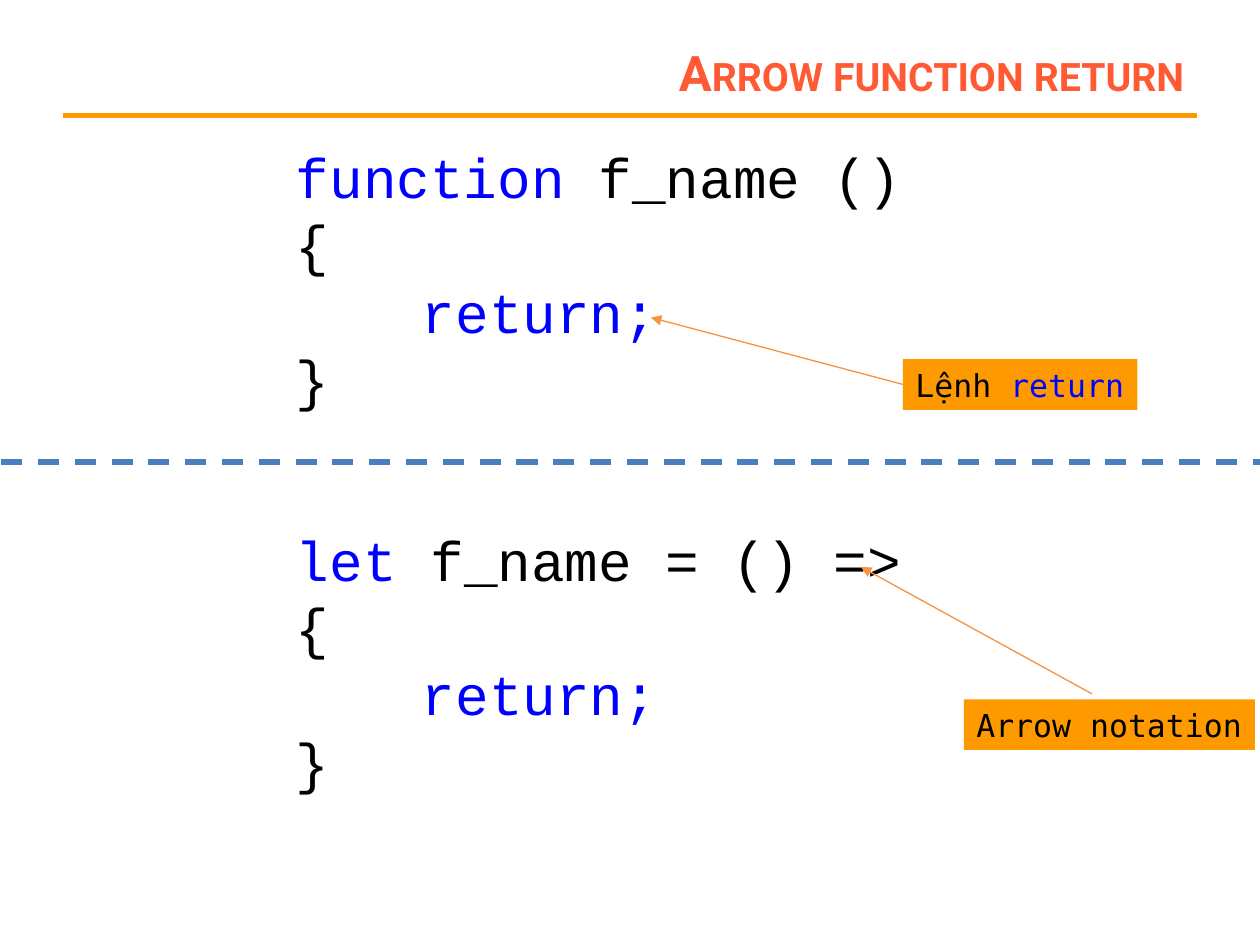
from lxml import etree
from pptx import Presentation
from pptx.dml.color import RGBColor
from pptx.enum.dml import MSO_LINE
from pptx.enum.shapes import MSO_CONNECTOR, MSO_SHAPE
from pptx.enum.text import MSO_ANCHOR, PP_ALIGN
from pptx.oxml.ns import qn
from pptx.util import Pt

LINE, RECT = MSO_CONNECTOR.STRAIGHT, MSO_SHAPE.RECTANGLE
DASH = MSO_LINE.DASH
MIDDLE, LEFT, RIGHT = MSO_ANCHOR.MIDDLE, PP_ALIGN.LEFT, PP_ALIGN.RIGHT

ORANGE = RGBColor(0xFF, 0x99, 0x00)
CORAL = RGBColor(0xFF, 0x5A, 0x33)
AMBER = RGBColor(0xF6, 0x92, 0x40)
STEEL = RGBColor(0x4B, 0x7E, 0xBC)
BLUE = RGBColor(0x00, 0x00, 0xFF)
BLACK = RGBColor(0x00, 0x00, 0x00)

CODE_FONT, NOTE_FONT, HEAD_FONT = "Courier New", "DejaVu Sans Mono", "Roboto"
TAB = Pt(72)


def style(run, font, size, color):
    run.font.name = font
    run.font.size = Pt(size)
    run.font.color.rgb = color


def add_runs(para, parts, font, size):
    for text, color in parts:
        run = para.add_run()
        run.text = text
        style(run, font, size, color)


def set_tab(para):
    props = para._p.get_or_add_pPr()
    tabs = etree.SubElement(props, qn("a:tabLst"))
    etree.SubElement(tabs, qn("a:tab"), pos=str(int(TAB)), algn="l")


def add_title(slide, text):
    title = slide.shapes.title
    title.left, title.top = Pt(162), Pt(22)
    title.width, title.height = Pt(522), Pt(38.2)
    frame = title.text_frame
    frame.text = text
    frame.vertical_anchor = MIDDLE
    para = frame.paragraphs[0]
    para.alignment = RIGHT
    run = para.runs[0]
    style(run, HEAD_FONT, 28, CORAL)
    run.font.bold = True
    run._r.get_or_add_rPr().set("cap", "small")


def add_code(slide, top, lines):
    box = slide.shapes.add_textbox(Pt(162), Pt(top), Pt(450.7), Pt(162.7))
    frame = box.text_frame
    frame.word_wrap = True
    for i, parts in enumerate(lines):
        para = frame.add_paragraph() if i else frame.paragraphs[0]
        set_tab(para)
        add_runs(para, parts, CODE_FONT, 32)


def add_note(slide, left, top, width, parts):
    note = slide.shapes.add_shape(RECT, Pt(left), Pt(top), Pt(width), Pt(29))
    note.shadow.inherit = False
    note.fill.solid()
    note.fill.fore_color.rgb = ORANGE
    note.line.fill.background()
    frame = note.text_frame
    frame.word_wrap = False
    para = frame.paragraphs[0]
    para.alignment = LEFT
    add_runs(para, parts, NOTE_FONT, 18)
    return note


def add_line(slide, start, end, color, width):
    points = [Pt(v) for v in (*start, *end)]
    line = slide.shapes.add_connector(LINE, *points)
    line.line.color.rgb = color
    line.line.width = Pt(width)
    etree.SubElement(line._element.spPr, qn("a:effectLst"))
    return line


def add_arrow(slide, start, end):
    arrow = add_line(slide, start, end, AMBER, 0.75)
    etree.SubElement(arrow.line._get_or_add_ln(), qn("a:tailEnd"), type="triangle")
    return arrow


def main():
    deck = Presentation()
    deck.slide_width, deck.slide_height = Pt(720), Pt(540)
    slide = deck.slides.add_slide(deck.slide_layouts[5])

    # Heading and rule
    add_line(slide, (36, 66), (684, 66), ORANGE, 3)
    add_title(slide, "Arrow function return")

    # Both ways to write the function
    body = [
        [("{", BLACK)],
        [("\t", BLACK), ("return;", BLUE)],
        [("}", BLACK)],
    ]
    plain = [("function ", BLUE), ("f_name ()", BLACK)]
    short = [("let ", BLUE), ("f_name = () =>", BLACK)]
    add_code(slide, 78, [plain, *body])
    add_code(slide, 296.8, [short, *body])

    # Divider
    split = add_line(slide, (0.7, 264), (720, 264), STEEL, 3)
    split.line.dash_style = DASH

    # Notes with their arrows
    add_note(slide, 550.8, 399.6, 166.3, [("Arrow notation", BLACK)])
    add_arrow(slide, (624, 396.5), (492, 324))
    note = add_note(slide, 516, 205.2, 134, [("Lệnh ", BLACK), ("return", BLUE)])
    arrow = add_arrow(slide, (516, 219.7), (372, 181.5))
    arrow.begin_connect(note, 1)

    deck.save("out.pptx")


if __name__ == "__main__":
    main()
